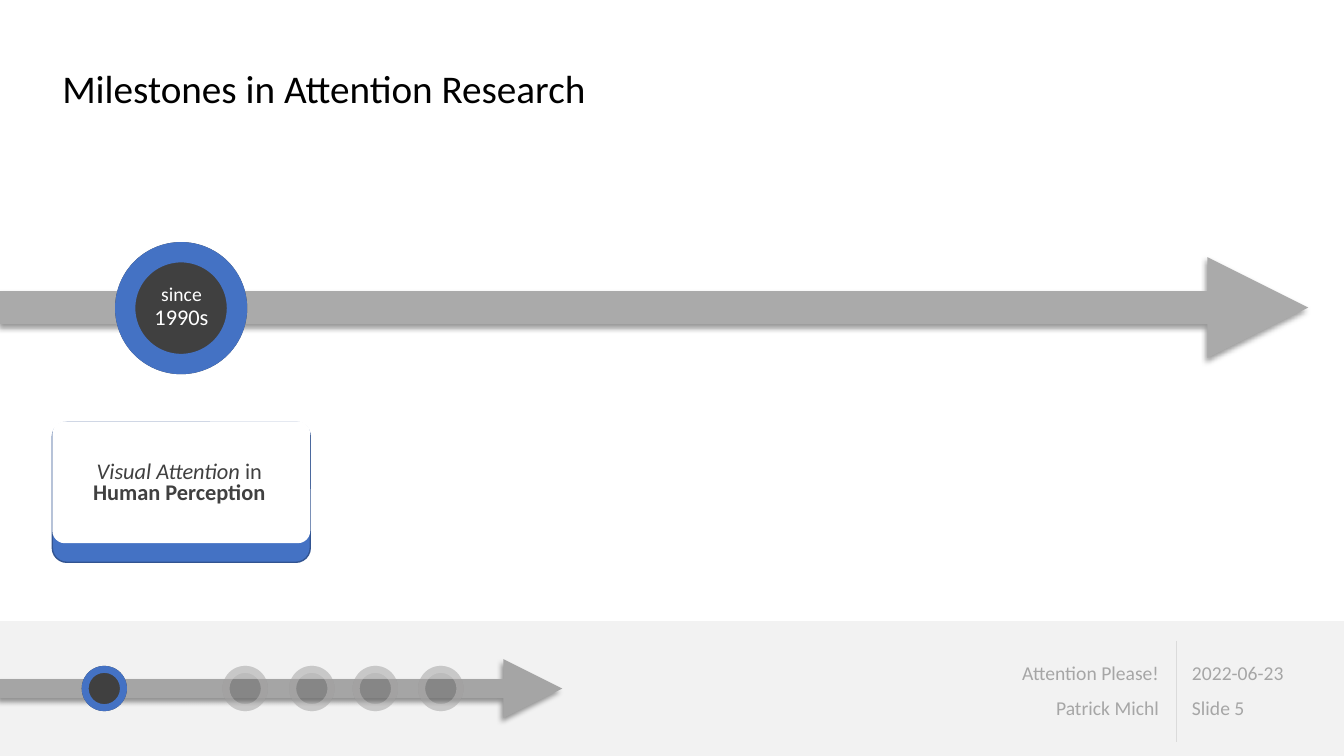
from dataclasses import dataclass

from lxml.etree import SubElement
from pptx import Presentation
from pptx.dml.color import RGBColor
from pptx.enum.shapes import MSO_CONNECTOR as Connector, MSO_SHAPE as Preset
from pptx.enum.text import MSO_ANCHOR as Anchor, PP_ALIGN as Align
from pptx.oxml.ns import qn
from pptx.util import Cm, Pt


@dataclass(frozen=True)
class Theme:
    font: str = "Calibri"
    black: str = "000000"
    dark: str = "404040"
    white: str = "FFFFFF"
    blue: str = "4472C4"
    blue_edge: str = "325491"
    pale: str = "E7E6E6"
    band: str = "F2F2F2"
    footer: str = "A6A6A6"
    rule: str = "DBDBDB"
    arrow: str = "AAAAAA"
    small_arrow: str = "A5A5A5"
    title_size: int = 28
    body_size: int = 16
    small_size: int = 14


THEME = Theme()


@dataclass(frozen=True)
class Span:
    text: str
    size: int
    color: str
    bold: bool = False
    italic: bool = False
    break_after: bool = False


@dataclass(frozen=True)
class TextBlock:
    left: float
    top: float
    width: float
    height: float
    paras: list[list[Span]]
    align: Align
    spacing: float = 0.9
    insets: tuple[float, float, float, float] = (0.25, 0.13, 0.25, 0.13)


@dataclass(frozen=True)
class Milestone:
    left: float
    top: float
    size: float
    ring: str = THEME.blue
    opacity: int = 100


@dataclass(frozen=True)
class Line:
    start: tuple[float, float]
    end: tuple[float, float]
    color: str
    weight: float
    is_arrow: bool = False


def rgb(color: str) -> RGBColor:
    return RGBColor.from_string(color)


def draw_shape(page, preset, left: float, top: float, width: float, height: float,
               color: str, adjust: float | None = None, opacity: int = 100,
               edge: str | None = None) -> None:
    shape = page.shapes.add_shape(preset, Cm(left), Cm(top), Cm(width), Cm(height))
    shape.shadow.inherit = False
    if adjust is not None:
        shape.adjustments[0] = adjust
    shape.fill.solid()
    shape.fill.fore_color.rgb = rgb(color)
    if opacity < 100:
        tint = shape.fill._xPr.find(f".//{qn('a:srgbClr')}")
        SubElement(tint, qn("a:alpha"), val=str(opacity * 1000))
    if edge:
        shape.line.color.rgb = rgb(edge)
        shape.line.width = Pt(1)
    else:
        shape.line.fill.background()


def draw_milestone(page, mark: Milestone) -> None:
    for preset, color, adjust in ((Preset.OVAL, THEME.dark, None),
                                  (Preset.DONUT, mark.ring, 0.154)):
        draw_shape(page, preset, mark.left, mark.top, mark.size, mark.size,
                   color, adjust, mark.opacity)


def draw_line(page, line: Line) -> None:
    connector = page.shapes.add_connector(
        Connector.STRAIGHT, *map(Cm, line.start), *map(Cm, line.end))
    connector.line.color.rgb = rgb(line.color)
    connector.line.width = Pt(line.weight)
    properties = connector._element.spPr
    effects = SubElement(properties, qn("a:effectLst"))
    if line.is_arrow:
        SubElement(connector.line._get_or_add_ln(), qn("a:tailEnd"), type="triangle")
        shadow = SubElement(effects, qn("a:outerShdw"), blurRad=str(Pt(4)), dist=str(Pt(3)),
                            dir=str(135 * 60000), algn="tr", rotWithShape="0")
        tint = SubElement(shadow, qn("a:srgbClr"), val=THEME.black)
        SubElement(tint, qn("a:alpha"), val="40000")


def add_span(para, span: Span) -> None:
    run = para.add_run()
    run.text = span.text
    font = run.font
    font.name, font.size = THEME.font, Pt(span.size)
    font.bold, font.italic = span.bold, span.italic
    font.color.rgb = rgb(span.color)
    if span.break_after:
        para.add_line_break()
        SubElement(para._p[-1], qn("a:rPr"), sz=str(span.size * 100))


def fill_box(box, block: TextBlock) -> None:
    box.left, box.top = Cm(block.left), Cm(block.top)
    box.width, box.height = Cm(block.width), Cm(block.height)
    frame = box.text_frame
    frame.word_wrap = True
    frame.vertical_anchor = Anchor.MIDDLE
    (frame.margin_left, frame.margin_top,
     frame.margin_right, frame.margin_bottom) = map(Cm, block.insets)
    for index, spans in enumerate(block.paras):
        para = frame.add_paragraph() if index else frame.paragraphs[0]
        para.alignment = block.align
        para.line_spacing = block.spacing
        para.space_before = Pt(10 if index else 0)
        for span in spans:
            add_span(para, span)


def footer_block(left: float, width: float, align: Align, *lines: str) -> TextBlock:
    paras = [[Span(text, THEME.small_size, THEME.footer)] for text in lines]
    return TextBlock(left, 16.23, width, 2.39, paras, align, insets=(0.25, 0.13, 0.1, 0.13))


TITLE = TextBlock(1.32, 1.07, 31.83, 2.46, [[
    Span("Milestones in Attention Research", THEME.title_size, THEME.black)]], Align.LEFT)
TEXTS = [
    footer_block(29.79, 3.76, Align.LEFT, "2022-06-23", "Slide 5"),
    footer_block(22.96, 6.35, Align.RIGHT, "Attention Please!", "Patrick Michl"),
    TextBlock(1.47, 10.97, 6.1, 2.44, [[
        Span("Visual Attention ", THEME.body_size, THEME.dark, italic=True),
        Span("in", THEME.body_size, THEME.dark, break_after=True),
        Span("Human Perception", THEME.body_size, THEME.dark, bold=True),
    ]], Align.CENTER, spacing=0.8),
    TextBlock(3.66, 6.88, 1.83, 1.73, [[
        Span("since", THEME.small_size, THEME.white, break_after=True),
        Span("1990s", THEME.body_size, THEME.white),
    ]], Align.CENTER, insets=(0.2, 0.13, 0.2, 0.13)),
]
LINES = [
    Line((29.64, 16.15), (29.64, 18.69), THEME.rule, 0.5),
    Line((0, 7.75), (32.97, 7.75), THEME.arrow, 24, is_arrow=True),
    Line((0, 17.35), (14.17, 17.35), THEME.small_arrow, 14, is_arrow=True),
]
MILESTONES = [Milestone(2.9, 6.1, 3.33), Milestone(2.06, 16.78, 1.14)] + [
    Milestone(left, 16.78, 1.14, THEME.pale, 30) for left in (5.61, 7.29, 8.89, 10.54)]


def main() -> None:
    deck = Presentation()
    deck.slide_width, deck.slide_height = Cm(33.87), Cm(19.05)
    page = deck.slides.add_slide(deck.slide_layouts[5])
    fill_box(page.shapes.title, TITLE)

    # Footer band, then timelines with their milestones
    draw_shape(page, Preset.RECTANGLE, 0, 15.65, 33.87, 3.4, THEME.band)
    for line in LINES:
        draw_line(page, line)
    for mark in MILESTONES:
        draw_milestone(page, mark)

    # Card: blue base with a white face
    draw_shape(page, Preset.ROUNDED_RECTANGLE, 1.32, 10.64, 6.5, 3.53,
               THEME.blue, 0.103, edge=THEME.blue_edge)
    draw_shape(page, Preset.ROUNDED_RECTANGLE, 1.32, 10.62, 6.5, 3.07, THEME.white, 0.103)

    # Texts
    for block in TEXTS:
        fill_box(page.shapes.add_textbox(0, 0, 0, 0), block)
    deck.save("out.pptx")


if __name__ == "__main__":
    main()
